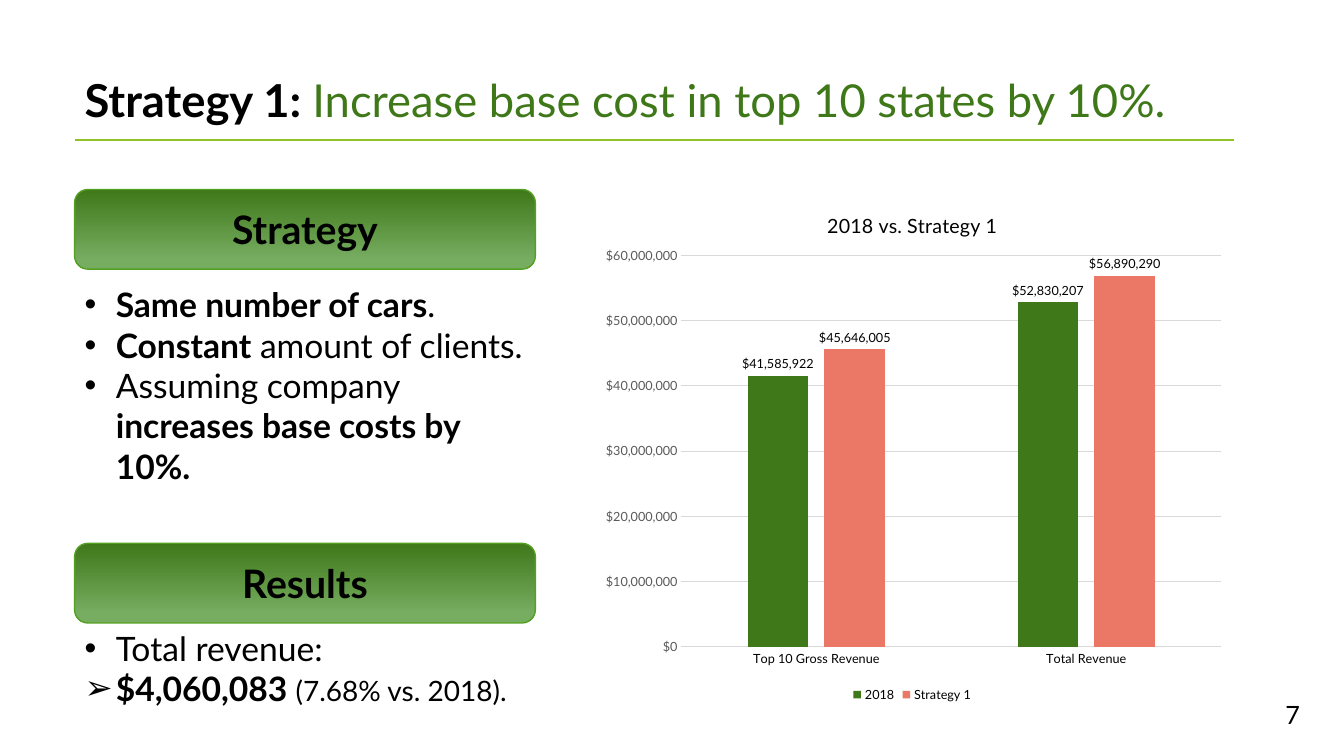
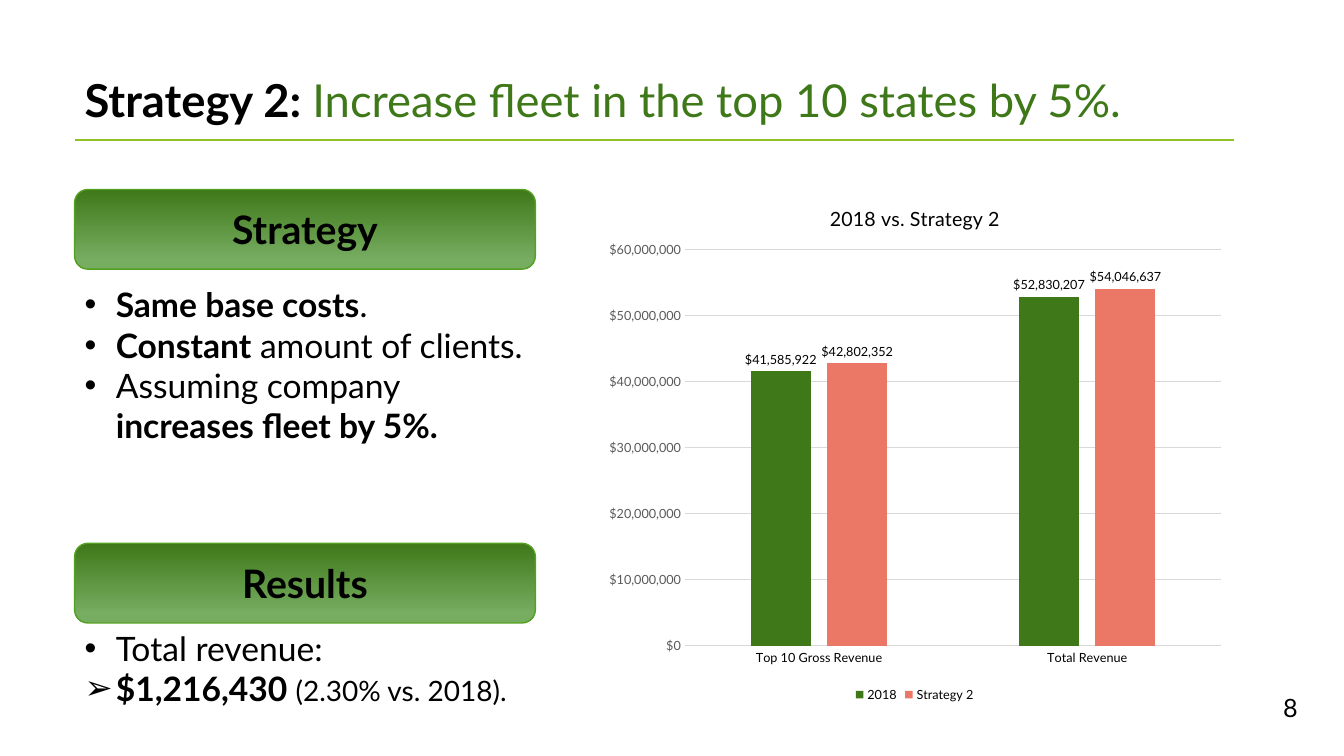
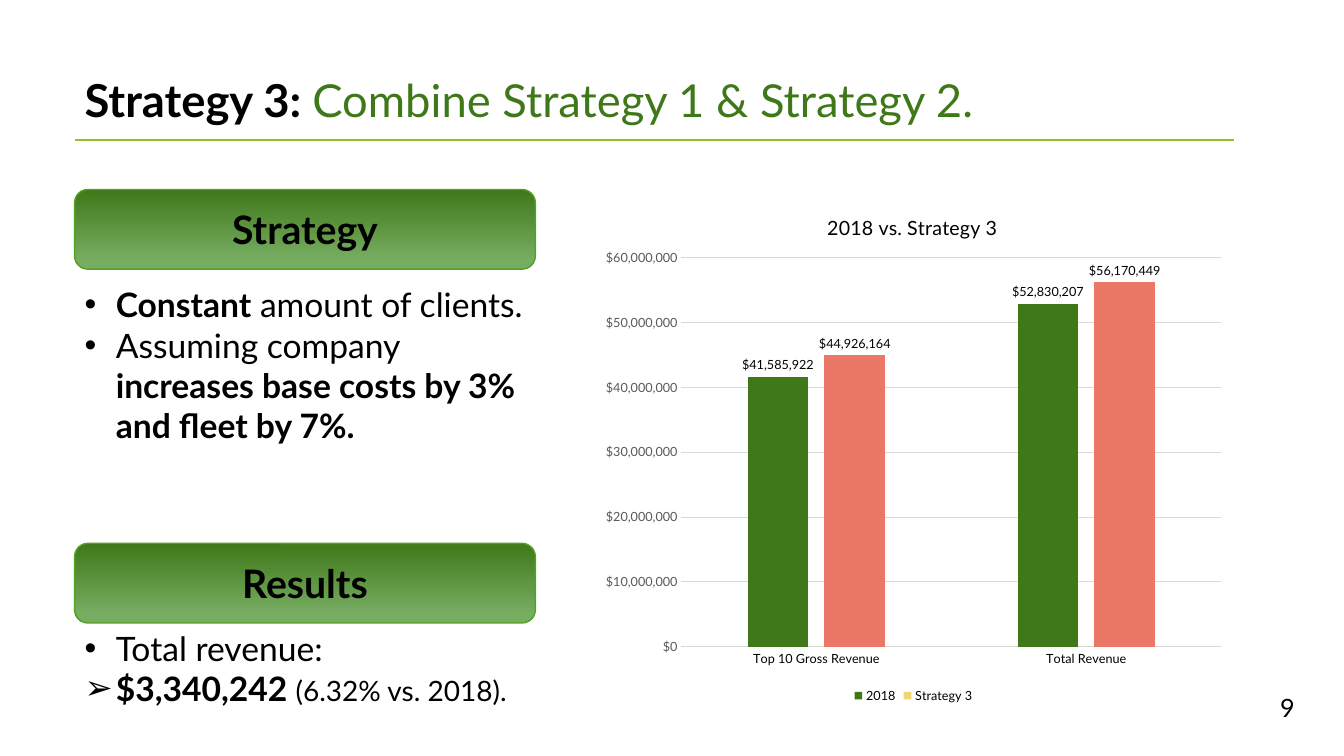
import pptx
import pptx.chart.data
import pptx.dml.color
import pptx.enum.chart
import pptx.enum.shapes
import pptx.enum.text
import pptx.oxml.ns
import pptx.oxml.xmlchemy
import pptx.util

Inches = pptx.util.Inches
Pt = pptx.util.Pt
qn = pptx.oxml.ns.qn
new_element = pptx.oxml.xmlchemy.OxmlElement
ALIGN = pptx.enum.text.PP_ALIGN
ANCHOR = pptx.enum.text.MSO_ANCHOR


def color(value):
    return pptx.dml.color.RGBColor.from_string(value)


def add_child(parent, tag, **attributes):
    child = new_element(tag)
    for name, value in attributes.items():
        child.set(name, str(value))
    parent.append(child)
    return child


def set_layout(element, x, y, w=None, h=None):
    """Place a chart part by fractions of the chart area."""
    layout = element.find(qn("c:layout"))
    if layout is None:
        layout = new_element("c:layout")
        overlay = element.find(qn("c:overlay"))
        if overlay is None:
            element.insert(0, layout)
        else:
            overlay.addprevious(layout)
    manual = add_child(layout, "c:manualLayout")
    if w is not None:
        add_child(manual, "c:layoutTarget", val="inner")
    add_child(manual, "c:xMode", val="edge")
    add_child(manual, "c:yMode", val="edge")
    for name, value in (("x", x), ("y", y), ("w", w), ("h", h)):
        if value is not None:
            add_child(manual, "c:" + name, val=value)


class StrategyDeck:
    FONT = "Lato"
    BLACK, GRAY, RULE_GRAY = "000000", "595959", "D9D9D9"
    GREEN, LIGHT_GREEN, EDGE_GREEN, LIME = "3F7819", "76AD61", "54A021", "90C226"
    CORAL, YELLOW = "EB7766", "F0D578"
    MONEY = '"$"#,##0'
    LEFT, RIGHT, PANEL_WIDTH = 0.74, 12.24, 4.57

    def __init__(self):
        self.deck = pptx.Presentation()
        self.deck.slide_width, self.deck.slide_height = Inches(13.33), Inches(7.5)
        self.page = None

    def new_page(self):
        self.page = self.deck.slides.add_slide(self.deck.slide_layouts[6])

    def style(self, font, size, tint=BLACK, bold=False):
        font.name, font.size, font.bold = self.FONT, Pt(size), bold
        font.color.rgb = color(tint)

    def text(self, left, top, width, height, paras, size, align=ALIGN.LEFT,
             anchor=ANCHOR.TOP):
        """Each paragraph is (bullet, runs); each run is (text, style changes)."""
        box = self.page.shapes.add_textbox(
            Inches(left), Inches(top), Inches(width), Inches(height))
        frame = box.text_frame
        frame.word_wrap, frame.vertical_anchor = True, anchor
        for index, (bullet, runs) in enumerate(paras):
            para = frame.add_paragraph() if index else frame.paragraphs[0]
            para.alignment = align
            for words, changes in runs:
                span = para.add_run()
                span.text = words
                self.style(span.font, **{"size": size, **changes})
            if bullet:
                properties = para._p.get_or_add_pPr()
                properties.set("marL", str(Inches(0.31)))
                properties.set("indent", str(-Inches(0.31)))
                add_child(properties, "a:buFont", typeface="Arial")
                add_child(properties, "a:buChar", char=bullet)

    def title(self, label, headline):
        runs = [(label + " ", {"bold": True}), (headline, {"tint": self.GREEN})]
        self.text(self.LEFT, 0.67, self.RIGHT - self.LEFT, 0.7, [(None, runs)], 32.4)
        rule = self.page.shapes.add_connector(
            pptx.enum.shapes.MSO_CONNECTOR.STRAIGHT,
            Inches(self.LEFT), Inches(1.39), Inches(self.RIGHT), Inches(1.39))
        rule.line.color.rgb, rule.line.width = color(self.LIME), Pt(1)
        add_child(rule._element.spPr, "a:effectLst")

    def band(self, top, words):
        band = self.page.shapes.add_shape(
            pptx.enum.shapes.MSO_SHAPE.ROUNDED_RECTANGLE,
            Inches(self.LEFT), Inches(top), Inches(self.PANEL_WIDTH), Inches(0.79))
        band.shadow.inherit = False
        band.fill.gradient()
        band.fill.gradient_angle = 270
        stops = zip(band.fill.gradient_stops,
                    ((0, self.GREEN), (0.88, self.LIGHT_GREEN)))
        for stop, (position, tint) in stops:
            stop.position, stop.color.rgb = position, color(tint)
        band.line.color.rgb, band.line.width = color(self.EDGE_GREEN), Pt(1)
        band.text_frame.text = words
        band.text_frame.vertical_anchor = ANCHOR.MIDDLE
        para = band.text_frame.paragraphs[0]
        para.alignment = ALIGN.CENTER
        self.style(para.runs[0].font, 28, bold=True)

    def bullets(self, top, height, paras):
        self.text(self.LEFT, top, self.PANEL_WIDTH, height, paras, 24)

    def number(self, left, top, words):
        self.text(left, top, 0.75, 0.4, [(None, [(words, {})])], 18,
                  ALIGN.RIGHT, ANCHOR.MIDDLE)

    def chart(self, left, top, strategy, values, key_tint, legend_top):
        data = pptx.chart.data.CategoryChartData(number_format=self.MONEY)
        data.categories = ["Top 10 Gross Revenue", "Total Revenue"]
        data.add_series("2018", (41585922, 52830207))
        data.add_series(strategy, values)
        chart = self.page.shapes.add_chart(
            pptx.enum.chart.XL_CHART_TYPE.COLUMN_CLUSTERED, Inches(left), Inches(top),
            Inches(self.RIGHT - left), Inches(7.02 - top), data).chart
        self.style(chart.font, 10)

        # Title, plot area and legend
        chart.has_title = True
        frame = chart.chart_title.text_frame
        frame.text = "2018 vs. " + strategy
        self.style(frame.paragraphs[0].runs[0].font, 14)
        set_layout(chart.chart_title._element, 0.36, 0.04)
        set_layout(chart._chartSpace.chart.plotArea, 0.138, 0.133, 0.842, 0.75)
        chart.has_legend = True
        chart.legend.position = pptx.enum.chart.XL_LEGEND_POSITION.BOTTOM
        chart.legend.include_in_layout = False
        self.style(chart.legend.font, 9)
        if legend_top:
            set_layout(chart.legend._element, 0.4, legend_top)

        # Axes
        amounts = chart.value_axis
        amounts.minimum_scale, amounts.maximum_scale = 0, 60000000
        amounts.major_unit = 10000000
        amounts.tick_labels.number_format = self.MONEY
        amounts.tick_labels.number_format_is_linked = False
        amounts.format.line.fill.background()
        for axis, tint in ((chart.category_axis, self.BLACK), (amounts, self.GRAY)):
            axis.major_tick_mark = pptx.enum.chart.XL_TICK_MARK.NONE
            self.style(axis.tick_labels.font, 9, tint)
        for owner in (amounts.major_gridlines, chart.category_axis):
            owner.format.line.color.rgb = color(self.RULE_GRAY)
            owner.format.line.width = Pt(0.75)

        # Columns and value labels
        plot = chart.plots[0]
        plot.gap_width, plot.overlap, plot.vary_by_categories = 219, -27, False
        for series, tint in zip(plot.series, (self.GREEN, key_tint)):
            series.format.fill.solid()
            series.format.fill.fore_color.rgb = color(tint)
            labels = series.data_labels
            labels.show_value = True
            labels.position = pptx.enum.chart.XL_LABEL_POSITION.OUTSIDE_END
            labels.number_format, labels.number_format_is_linked = self.MONEY, False
            self.style(labels.font, 9)
        if key_tint != self.CORAL:
            for index in range(len(values)):
                fill = plot.series[1].points[index].format.fill
                fill.solid()
                fill.fore_color.rgb = color(self.CORAL)

    def save(self):
        self.deck.save("out.pptx")


BOLD = {"bold": True}
CLIENTS = ("•", [("Constant", BOLD), (" amount of clients.", {})])


def same(subject):
    return "•", [("Same " + subject, BOLD), (".", {})]


def assuming(change):
    return "•", [("Assuming company ", {}), (change, BOLD)]


STRATEGIES = [
    dict(headline="Increase base cost in top 10 states by 10%.",
         points=[same("number of cars"), CLIENTS,
                 assuming("increases base costs by 10%.")],
         gain="$4,060,083", share="(7.68% vs. 2018).",
         chart_at=(5.88, 1.85), values=(45646005, 56890290),
         key_tint=StrategyDeck.CORAL, legend_top=0.96, number_at=(12.24, 6.89)),
    dict(headline="Increase fleet in the top 10 states by 5%.",
         points=[same("base costs"), CLIENTS, assuming("increases fleet by 5%.")],
         gain="$1,216,430", share="(2.30% vs. 2018).",
         chart_at=(5.92, 1.78), values=(42802352, 54046637),
         key_tint=StrategyDeck.CORAL, legend_top=0.96, number_at=(12.22, 6.82)),
    dict(headline="Combine Strategy 1 & Strategy 2.",
         points=[CLIENTS, assuming("increases base costs by 3% and fleet by 7%.")],
         gain="$3,340,242", share="(6.32% vs. 2018).",
         chart_at=(5.88, 1.87), values=(44926164, 56170449),
         key_tint=StrategyDeck.YELLOW, legend_top=None, number_at=(12.19, 6.82)),
]


def main():
    slides = StrategyDeck()
    for index, item in enumerate(STRATEGIES, start=1):
        name = f"Strategy {index}"
        slides.new_page()
        slides.title(name + ":", item["headline"])
        slides.band(1.88, "Strategy")
        slides.bullets(2.77, 2.12, item["points"])
        slides.band(5.39, "Results")
        slides.bullets(6.18, 0.91, [
            ("•", [("Total revenue:", {})]),
            ("➢", [(item["gain"] + " ", BOLD), (item["share"], {"size": 20})])])
        slides.chart(*item["chart_at"], name, item["values"], item["key_tint"],
                     item["legend_top"])
        slides.number(*item["number_at"], str(index + 6))
    slides.save()


if __name__ == "__main__":
    main()
